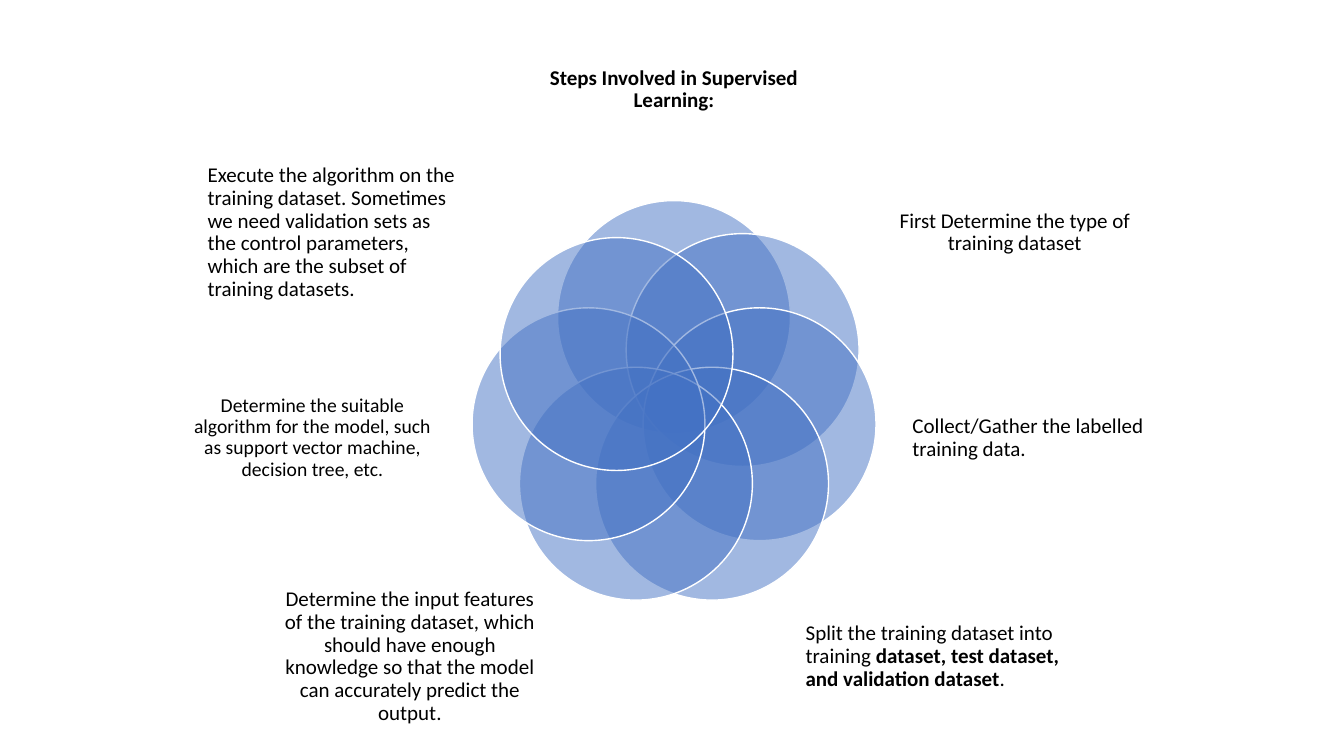
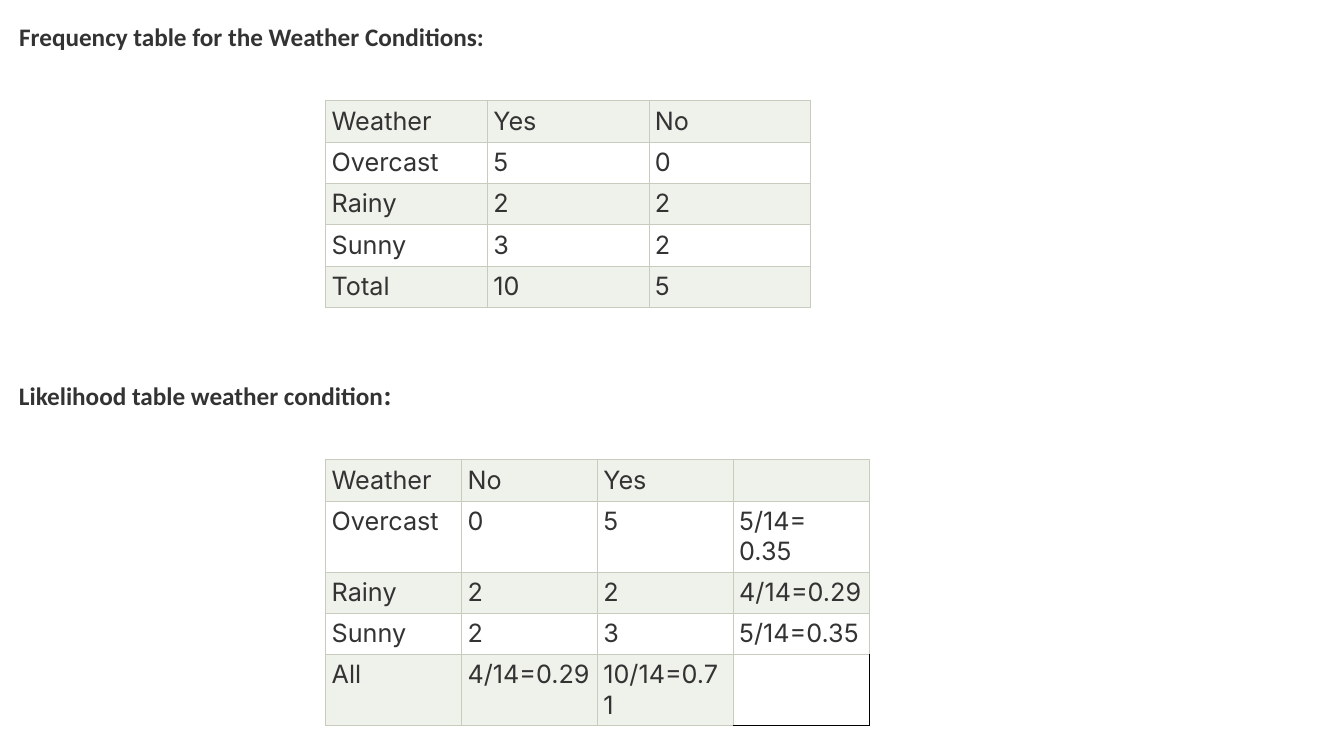
from math import cos, pi, sin
from lxml.etree import SubElement
from pptx import Presentation
from pptx.dml.color import RGBColor
from pptx.enum.shapes import MSO_SHAPE
from pptx.enum.text import MSO_ANCHOR, MSO_AUTO_SIZE, PP_ALIGN
from pptx.oxml.ns import qn
from pptx.util import Pt

PX = 9144
BLUE, WHITE, BLACK = "4472C4", "FFFFFF", "000000"
INK, BAND, GRID = "333333", "EFF1EB", "C7CCBE"
LEFT, CENTER, JUSTIFY = PP_ALIGN.LEFT, PP_ALIGN.CENTER, PP_ALIGN.JUSTIFY

LABEL = {"name": "Calibri", "size": Pt(15), "bold": False}
HEADING = {"name": "Calibri", "size": Pt(18), "bold": True}
CELL = {"name": "Inter", "size": Pt(18), "bold": False}
MARGINS = ("margin_left", "margin_top", "margin_right", "margin_bottom")
LABEL_FRAME = {"word_wrap": True, "auto_size": MSO_AUTO_SIZE.NONE,
               "vertical_anchor": MSO_ANCHOR.MIDDLE, **dict.fromkeys(MARGINS, 0)}
HEADING_FRAME = {"word_wrap": True, "auto_size": MSO_AUTO_SIZE.NONE,
                 "vertical_anchor": MSO_ANCHOR.TOP,
                 **dict(zip(MARGINS, (10 * PX, 5 * PX, 10 * PX, 5 * PX)))}
CELL_FRAME = dict(zip(MARGINS, (6 * PX, 5 * PX, 6 * PX, 5 * PX)))

STEPS_TITLE = "Steps Involved in Supervised Learning:"
STEPS = [
    ((694, 135, 251, 156), CENTER, {},
     [("First Determine the type of training dataset", {})]),
    ((718, 333, 246, 167), LEFT, {},
     [("Collect/Gather the labelled training data.", {})]),
    ((612, 557, 265, 153), LEFT, {},
     [("Split the training dataset into training ", {}),
      ("dataset, test dataset, and validation dataset", {"bold": True}), (".", {})]),
    ((87, 557, 265, 153), CENTER, {},
     [("Determine the input features of the training dataset, which should have "
       "enough knowledge so that the model can accurately predict the output.", {})]),
    ((0, 333, 246, 167), CENTER, {"size": Pt(14)},
     [("Determine the suitable algorithm for the model, such as support vector "
       "machine, decision tree, etc.", {})]),
    ((19, 135, 251, 156), LEFT, {},
     [("Execute the algorithm on the training dataset. Sometimes we need validation "
       "sets as the control parameters, which are the subset of training datasets.", {})]),
]
FREQUENCY = [
    ["Weather", "Yes", "No"],
    ["Overcast", "5", "0"],
    ["Rainy", "2", "2"],
    ["Sunny", "3", "2"],
    ["Total", "10", "5"],
]
LIKELIHOOD = [
    ["Weather", "No", "Yes", ""],
    ["Overcast", "0", "5", "5/14= 0.35"],
    ["Rainy", "2", "2", "4/14=0.29"],
    ["Sunny", "2", "3", "5/14=0.35"],
    ["All", "4/14=0.29", "10/14=0.71", ""],
]


def color(value):
    return RGBColor.from_string(value)


def emu(*lengths):
    return [round(v * PX) for v in lengths]


def apply(target, values):
    for key, value in values.items():
        setattr(target, key, value)


def place(sp, *box):
    apply(sp, dict(zip(("left", "top", "width", "height"), emu(*box))))


def write(tf, runs, font, ink, frame, align, spacing=1.0):
    apply(tf, frame)
    p = tf.paragraphs[0]
    apply(p, {"alignment": align, "line_spacing": spacing})
    for text, extra in runs:
        r = p.add_run()
        r.text = text
        apply(r.font, {**font, **extra})
        r.font.color.rgb = color(ink)


def add_petal(shapes, x, y, size):
    sp = shapes.add_shape(MSO_SHAPE.OVAL, *emu(x, y, size, size))
    sp.shadow.inherit = False
    sp.fill.solid()
    sp.fill.fore_color.rgb = color(BLUE)
    tint = sp.fill._xPr.find(qn("a:solidFill"))[0]
    SubElement(tint, qn("a:alpha"), val="50000")
    sp.line.color.rgb = color(WHITE)
    sp.line.width = Pt(1)


def steps_diagram(s, x, y):
    title = s.shapes.title
    place(title, x + 349, y, 265, 142)
    write(title.text_frame, [(STEPS_TITLE, {"bold": True})], LABEL, BLACK,
          LABEL_FRAME, CENTER, 0.9)
    shapes = s.shapes.add_group_shape().shapes
    count, radius = len(STEPS) + 1, 87
    nudges = {count - 1: (11, 4)}
    for i in range(count):
        dx, dy = nudges.get(i, (0, 0))
        angle = 2 * pi * i / count
        add_petal(shapes, x + 366 + radius * sin(angle) + dx,
                  y + 268 - radius * cos(angle) + dy, 231)
    for (left, top, w, h), align, extra, runs in STEPS:
        sp = shapes.add_textbox(*emu(x + left, y + top, w, h))
        write(sp.text_frame, runs, {**LABEL, **extra}, BLACK, LABEL_FRAME, align, 0.9)


def set_borders(cell, **sides):
    tcPr = cell._tc.get_or_add_tcPr()
    for side in "LRTB":
        ln = SubElement(tcPr, qn("a:ln" + side), w=str(Pt(0.5)))
        fill = SubElement(ln, qn("a:solidFill"))
        SubElement(fill, qn("a:srgbClr"), val=sides.get(side, GRID))


def add_grid(s, x, y, w, rows, open_corner):
    row_h, cols = 41, len(rows[0])
    shape = s.shapes.add_table(len(rows), cols, *emu(x, y, w, row_h * len(rows)))
    table = shape.table
    apply(table, {"first_row": False, "horz_banding": False})
    for row in table.rows:
        row.height = row_h * PX
    for i, row in enumerate(rows):
        for j, text in enumerate(row):
            cell = table.cell(i, j)
            corner = open_corner and (i, j) == (len(rows) - 1, cols - 1)
            set_borders(cell, **({"R": BLACK, "B": BLACK} if corner else {}))
            apply(cell, CELL_FRAME)
            if corner:
                cell.fill.background()
            else:
                cell.fill.solid()
                cell.fill.fore_color.rgb = color(WHITE if i % 2 else BAND)
            if text:
                write(cell.text_frame, [(text, {})], CELL, INK, {}, JUSTIFY)


def table_section(s, heading, box, runs, rows, table_w, open_corner=False):
    x, y, w, h = box
    place(heading, x, y, w, h)
    write(heading.text_frame, runs, HEADING, INK, HEADING_FRAME, LEFT)
    add_grid(s, x + 314, y + 84, table_w, rows, open_corner)


def steps_slide(prs):
    s = prs.slides.add_slide(prs.slide_layouts[5])
    steps_diagram(s, 187, 18)


def tables_slide(prs):
    s = prs.slides.add_slide(prs.slide_layouts[5])
    table_section(s, s.shapes.title, (9, 16, 1309, 101),
                  [("Frequency table for the Weather Conditions:", {})], FREQUENCY, 481)
    table_section(s, s.shapes.add_textbox(0, 0, PX, PX), (9, 372, 667, 40),
                  [("Likelihood table weather condition", {}), (":", {"name": "Inter"})],
                  LIKELIHOOD, 539, open_corner=True)


def main():
    prs = Presentation()
    prs.slide_width, prs.slide_height = emu(1333, 750)
    steps_slide(prs)
    tables_slide(prs)
    prs.save("out.pptx")


if __name__ == "__main__":
    main()
